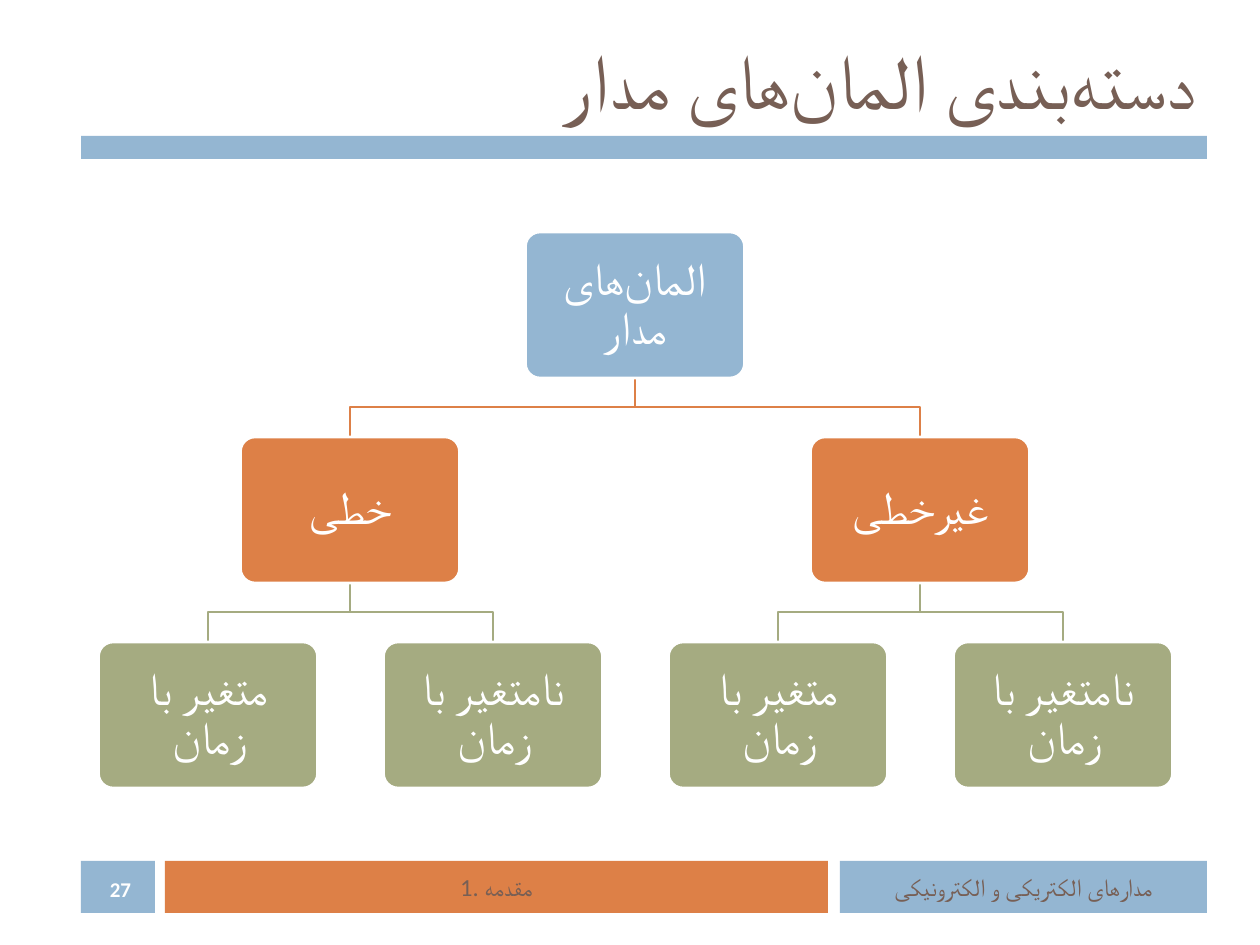
"""Build a slide that sorts circuit elements into a three-level tree."""
from lxml.etree import SubElement
from pptx import Presentation
from pptx.dml.color import RGBColor
from pptx.enum.shapes import MSO_SHAPE as Shape
from pptx.enum.text import MSO_ANCHOR as Anchor, PP_ALIGN as Align
from pptx.oxml.ns import qn
from pptx.util import Emu, Pt

BLUE = RGBColor(0x94, 0xB6, 0xD2)
ORANGE = RGBColor(0xDD, 0x80, 0x47)
GREEN = RGBColor(0xA5, 0xAB, 0x81)
BROWN = RGBColor(0x77, 0x5F, 0x55)
WHITE = RGBColor(0xFF, 0xFF, 0xFF)
SCALE = 914400 / 126
FONT = "Calibri"
JOINER = chr(0x200C)
PARTS = f"المان{JOINER}های مدار"


def px(*nums):
    return [Emu(round(n * SCALE)) for n in nums]


def write(shape, text, size, color, align=Align.CENTER, rtl=False, bold=False, pad=(12, 6)):
    frame = shape.text_frame
    frame.text = text
    frame.word_wrap = True
    frame.vertical_anchor = Anchor.MIDDLE
    frame.margin_left, frame.margin_top = px(*pad)
    frame.margin_right, frame.margin_bottom = px(*pad)
    para = frame.paragraphs[0]
    para.alignment = align
    if rtl:
        para._p.get_or_add_pPr().set("rtl", "1")
    font = para.runs[0].font
    font.name, font.size, font.bold = FONT, Pt(size), bold
    font.color.rgb = color
    SubElement(font._element, qn("a:cs")).set("typeface", FONT)
    return para


deck = Presentation()
deck.slide_width, deck.slide_height = px(1260, 945)
slide = deck.slides.add_slide(deck.slide_layouts[6])
shapes = slide.shapes

title = shapes.add_textbox(*px(84, 32, 1124, 94))
write(title, f"دسته{JOINER}بندی {PARTS}", 44, BROWN, Align.RIGHT, rtl=True)

bars = [
    (81, 136, 1126, 23, BLUE, ""),
    (81, 861, 74, 52, BLUE, ""),
    (840, 861, 367, 52, BLUE, "مدارهای الکتریکی و الکترونیکی"),
    (165, 861, 663, 52, ORANGE, "1. مقدمه"),
]
for left, top, wide, high, color, text in bars:
    bar = shapes.add_shape(Shape.RECTANGLE, *px(left, top, wide, high))
    bar.shadow.inherit = False
    bar.fill.solid()
    bar.fill.fore_color.rgb = color
    bar.line.fill.background()
    if text:
        write(bar, text, 14, BROWN)

number = shapes.add_textbox(*px(84, 872, 73, 34))
write(number, "27", 12, WHITE, rtl=True, bold=True)

WIDE, HIGH, TOP, STEP = 219, 146, 232, 205
CHANGE, FIXED = "متغیر با زمان", "نامتغیر با زمان"
nodes = [
    (PARTS, 635, 0, None),
    ("خطی", 350, 1, 635),
    ("غیرخطی", 920, 1, 635),
    (CHANGE, 208, 2, 350),
    (FIXED, 493, 2, 350),
    (CHANGE, 778, 2, 920),
    (FIXED, 1063, 2, 920),
]
hues = [BLUE, ORANGE, GREEN]

for text, mid, level, parent in nodes[1:]:
    end = TOP + level * STEP
    start = end - STEP + HIGH
    bend = (start + end) // 2
    path = shapes.build_freeform(parent, start, scale=SCALE)
    path.add_line_segments([(parent, bend), (mid, bend), (mid, end)], close=False)
    link = path.convert_to_shape()
    link.shadow.inherit = False
    link.fill.background()
    link.line.color.rgb = hues[level]
    link.line.width = Pt(1.5)

for text, mid, level, parent in nodes:
    box = shapes.add_shape(
        Shape.ROUNDED_RECTANGLE, *px(mid - WIDE / 2, TOP + level * STEP, WIDE, HIGH))
    box.adjustments[0] = 0.1
    box.shadow.inherit = False
    box.fill.solid()
    box.fill.fore_color.rgb = hues[level]
    box.line.color.rgb = WHITE
    box.line.width = Pt(1.5)
    write(box, text, 26, WHITE, pad=(18, 18)).line_spacing = 0.9

deck.save("out.pptx")
